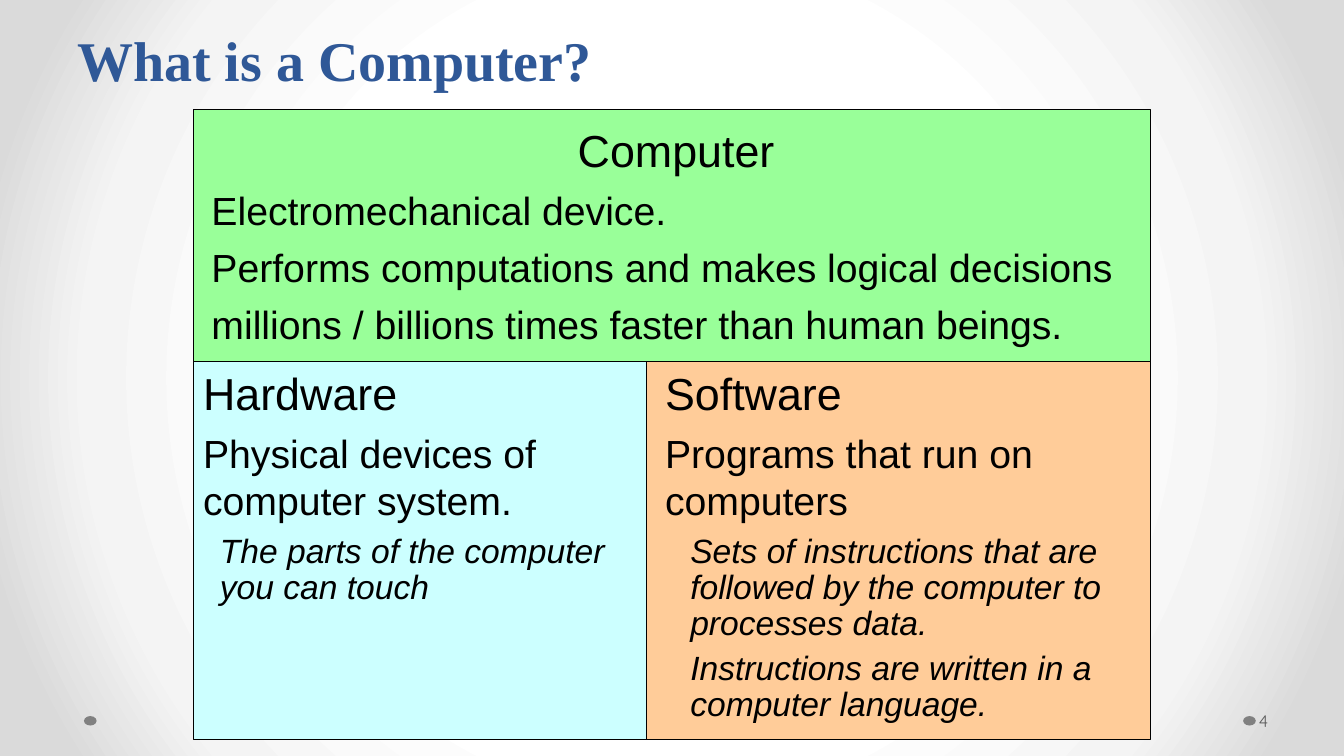
import dataclasses

import lxml.etree
import pptx
import pptx.dml.color
import pptx.enum.shapes
import pptx.enum.text
import pptx.oxml.ns
import pptx.util

PX = 9525  # EMU per px, 96 px to the inch
ALIGN = pptx.enum.text.PP_ALIGN
ANCHOR = pptx.enum.text.MSO_ANCHOR
SHAPE = pptx.enum.shapes.MSO_SHAPE


@dataclasses.dataclass(frozen=True)
class Theme:
    title_font: str = "Times New Roman"
    body_font: str = "Arial"
    number_font: str = "Quicksand"
    title_color: str = "2F5897"
    ink: str = "000000"
    dot: str = "808080"
    number_color: str = "595959"
    computer: str = "99FF99"
    hardware: str = "CCFFFF"
    software: str = "FFCC99"
    backdrop: tuple = ((50, "FFFFFF"), (76, "F4F4F4"), (92, "DADADA"))
    title_size: int = 40
    heading_size: int = 32
    body_size: int = 28
    detail_size: int = 24
    number_size: int = 12


THEME = Theme()


def rgb(color):
    return pptx.dml.color.RGBColor.from_string(color)


def emu(box):
    return [length * PX for length in box]


def add_span(para, text, size, font=THEME.body_font, color=THEME.ink, bold=False, italic=False):
    span = para.add_run()
    span.text = text
    span.font.size = pptx.util.Pt(size)
    span.font.name = font
    span.font.color.rgb = rgb(color)
    span.font.bold = bold
    span.font.italic = italic


def add_block(page, box, kind, fill, outlined=False):
    block = page.shapes.add_shape(kind, *emu(box))
    block.shadow.inherit = False
    block.fill.solid()
    block.fill.fore_color.rgb = rgb(fill)
    if outlined:
        block.line.color.rgb = rgb(THEME.ink)
        block.line.width = pptx.util.Pt(0.75)
    else:
        block.line.fill.background()


def add_text_frame(page, box):
    frame = page.shapes.add_textbox(*emu(box)).text_frame
    frame.word_wrap = True
    return frame


def next_para(frame, index, space_before):
    para = frame.add_paragraph() if index else frame.paragraphs[0]
    para.space_before = pptx.util.Pt(space_before)
    return para


def add_heading_and_body(page, box, heading, lines, align=ALIGN.LEFT):
    frame = add_text_frame(page, box)
    para = next_para(frame, 0, 8)
    para.alignment = align
    add_span(para, heading, THEME.heading_size)
    for index, line in enumerate(lines, 1):
        add_span(next_para(frame, index, 7), line, THEME.body_size)


def add_details(page, box, lines):
    frame = add_text_frame(page, box)
    for index, line in enumerate(lines):
        para = next_para(frame, index, 6)
        para.line_spacing = 0.9
        add_span(para, line, THEME.detail_size, italic=True)


def paint_backdrop(page):
    """Radial gradient, which the public fill methods do not offer."""
    page.background.fill.solid()
    stops = "".join(
        f'<a:gs pos="{place * 1000}"><a:srgbClr val="{color}"/></a:gs>'
        for place, color in THEME.backdrop
    )
    gradient = lxml.etree.fromstring(
        f'<a:gradFill {pptx.oxml.ns.nsdecls("a")} rotWithShape="1"><a:gsLst>{stops}</a:gsLst>'
        '<a:path path="circle"><a:fillToRect l="50000" t="50000" r="50000" b="50000"/></a:path>'
        "</a:gradFill>"
    )
    properties = page.element.xpath(".//p:bgPr")[0]
    properties.replace(properties[0], gradient)


def place_title(page, box, text):
    title = page.shapes.title
    title.left, title.top, title.width, title.height = emu(box)
    frame = title.text_frame
    frame.auto_size = pptx.enum.text.MSO_AUTO_SIZE.NONE
    frame.vertical_anchor = ANCHOR.BOTTOM
    para = frame.paragraphs[0]
    para.alignment = ALIGN.LEFT
    para.line_spacing = pptx.util.Pt(58)
    add_span(para, text, THEME.title_size, THEME.title_font, THEME.title_color, bold=True)


def add_footer(page, box, number):
    left, top, width, height = box
    for dot_left in (left, left + width - 12):
        add_block(page, (dot_left, top, 12, height), SHAPE.OVAL, THEME.dot)
    frame = add_text_frame(page, (left + width, top - 15, 79, 38))
    frame.margin_left = 3 * PX
    frame.margin_right = 5 * PX
    frame.vertical_anchor = ANCHOR.MIDDLE
    add_span(frame.paragraphs[0], number, THEME.number_size, THEME.number_font, THEME.number_color)


def add_computer_panel(page, box):
    left, top, width, height = box
    add_block(page, box, SHAPE.RECTANGLE, THEME.computer, outlined=True)
    add_heading_and_body(page, (left + 8, top + 8, width - 8, height - 8), "Computer", (
        "Electromechanical device.",
        "Performs computations and makes logical decisions",
        "millions / billions times faster than human beings.",
    ), ALIGN.CENTER)


def add_part_panel(page, box, fill, inset, indent, heading, body, details):
    left, top, width, height = box
    add_block(page, box, SHAPE.RECTANGLE, fill, outlined=True)
    add_heading_and_body(page, (left + inset, top, width - 2 * inset, 161), heading, (body,))
    details_box = (left + indent, top + 160, width - indent - 20, height - 160)
    add_details(page, details_box, details)


def build_computer_slide(deck):
    page = deck.slides.add_slide(deck.slide_layouts[5])
    paint_backdrop(page)
    add_footer(page, (80, 682, 1116, 9), "4")
    place_title(page, (64, 0, 1152, 93), "What is a Computer?")
    left, top, width, split = 184, 104, 912, 432
    lower_top, lower_height = top + 240, 360
    add_part_panel(
        page, (left + split, lower_top, width - split, lower_height), THEME.software, 8, 32,
        "Software", "Programs that run on computers", (
            "Sets of instructions that are followed by the computer to processes data.",
            "Instructions are written in a computer language.",
        ))
    add_part_panel(
        page, (left, lower_top, split, lower_height), THEME.hardware, 0, 16,
        "Hardware", "Physical devices of computer system.",
        ("The parts of the computer you can touch",))
    add_computer_panel(page, (left, top, width, lower_top - top))


def main():
    deck = pptx.Presentation()
    deck.slide_width, deck.slide_height = emu((1280, 720))
    build_computer_slide(deck)
    deck.save("out.pptx")


if __name__ == "__main__":
    main()
